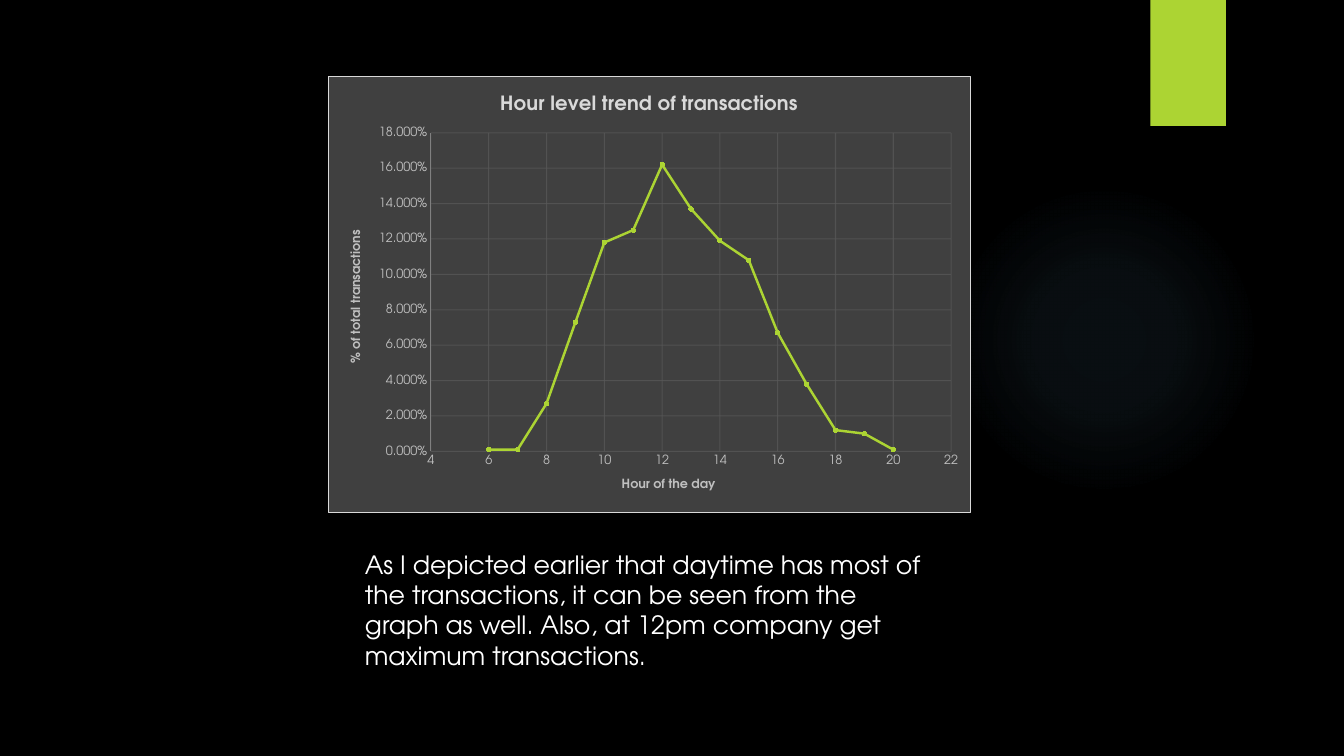
from pptx import Presentation, util as u
from pptx.chart.data import XyChartData
from pptx.dml.color import RGBColor
from pptx.enum import chart as ch, shapes
from pptx.oxml import parse_xml
from pptx.oxml.ns import nsdecls, qn

FONT = "TeX Gyre Adventor"
COLORS = {
    "black": "000000", "white": "FFFFFF", "lime": "ACD433", "pale_lime": "CDE585",
    "glow": "7AC4F0", "panel": "404040", "border": "D9D9D9",
    "label": "BFBFBF", "axis": "808080", "grid": "595959",
}
RGB = {name: RGBColor.from_string(value) for name, value in COLORS.items()}


def write(tf, text, size, color, bold=False):
    r = tf.paragraphs[0].add_run()
    r.text = text
    r.font.name, r.font.size, r.font.bold = FONT, u.Pt(size), bold
    r.font.color.rgb = RGB[color]


prs = Presentation()
prs.slide_width, prs.slide_height = u.Inches(13.33), u.Inches(7.5)
s = prs.slides.add_slide(prs.slide_layouts[6])
s.background.fill.solid()
s.background.fill.fore_color.rgb = RGB["black"]

# Soft glow, fading outwards
glow = s.shapes.add_shape(shapes.MSO_SHAPE.OVAL, u.Inches(9.41), u.Inches(1.83),
                          u.Inches(3.08), u.Inches(3.08))
glow.shadow.inherit = False
glow.line.fill.background()
stops = "".join(
    f'<a:gs pos="{pos}000"><a:srgbClr val="{COLORS["glow"]}"><a:alpha val="{alpha}000"/></a:srgbClr></a:gs>'
    for pos, alpha in ((0, 7), (36, 6), (69, 0)))
glow._element.spPr.find(qn("a:prstGeom")).addnext(parse_xml(
    f'<a:gradFill {nsdecls("a")} rotWithShape="1"><a:gsLst>{stops}</a:gsLst><a:path path="circle">'
    '<a:fillToRect l="50000" t="50000" r="50000" b="50000"/></a:path></a:gradFill>'))

# Lime tab with a drop shadow
tab = s.shapes.add_shape(shapes.MSO_SHAPE.RECTANGLE, u.Inches(11.41), 0,
                         u.Inches(0.75), u.Inches(1.25))
tab.shadow.inherit = False
tab.fill.solid()
tab.fill.fore_color.rgb = RGB["lime"]
tab.line.fill.background()
tab._element.spPr.find(qn("a:effectLst")).append(parse_xml(
    f'<a:outerShdw {nsdecls("a")} blurRad="{u.Pt(3)}" dist="{u.Pt(2)}" dir="5400000" rotWithShape="0">'
    f'<a:srgbClr val="{COLORS["black"]}"><a:alpha val="45000"/></a:srgbClr></a:outerShdw>'))

# Hourly chart
shares = [0.001, 0.001, 0.027, 0.073, 0.118, 0.125, 0.162, 0.137,
          0.119, 0.108, 0.067, 0.038, 0.012, 0.01, 0.001]
data = XyChartData()
hourly = data.add_series("Series 1")
for hour, share in enumerate(shares, start=6):
    hourly.add_data_point(hour, share)
chart = s.shapes.add_chart(ch.XL_CHART_TYPE.XY_SCATTER_LINES, u.Inches(3.25), u.Inches(0.75),
                           u.Inches(6.38), u.Inches(4.34), data).chart
chart.font.name, chart.font.size = FONT, u.Pt(10)
chart.font.color.rgb = RGB["white"]
chart.has_legend = False
chart.has_title = True
write(chart.chart_title.text_frame, "Hour level trend of transactions", 14, "border", bold=True)
chart.chart_title.include_in_layout = False

# Series
plot = chart.plots[0]
plot.vary_by_categories = False
series = plot.series[0]
series.smooth = False
series.format.line.width = u.Pt(1.75)
series.format.line.color.rgb = RGB["lime"]
series.marker.style, series.marker.size = ch.XL_MARKER_STYLE.CIRCLE, 3
series.marker.format.fill.solid()
series.marker.format.fill.fore_color.rgb = RGB["pale_lime"]
series.marker.format.line.fill.background()

# Axes
for axis, title, low, high, step, number_format in (
        (chart.category_axis, "Hour of the day", 4, 22, 2, "General"),
        (chart.value_axis, "% of total transactions", 0, 0.18, 0.02, "0.000%")):
    axis.minimum_scale, axis.maximum_scale, axis.major_unit = low, high, step
    axis.major_tick_mark = axis.minor_tick_mark = ch.XL_TICK_MARK.NONE
    labels = axis.tick_labels
    labels.number_format, labels.number_format_is_linked = number_format, False
    labels.font.name, labels.font.size = FONT, u.Pt(9)
    labels.font.color.rgb = RGB["label"]
    axis.has_title = True
    write(axis.axis_title.text_frame, title, 9, "label", bold=True)
    axis.has_major_gridlines = True
    grid = axis.major_gridlines.format.line
    grid.width = u.Pt(0.75)
    grid.color.rgb = RGB["grid"]
    for color in axis._element.find(qn("c:majorGridlines")).iter(qn("a:srgbClr")):
        color.append(parse_xml(f'<a:alpha {nsdecls("a")} val="75000"/>'))
chart.category_axis.format.line.fill.background()
chart.value_axis.format.line.width = u.Pt(0.75)
chart.value_axis.format.line.color.rgb = RGB["axis"]

# Plot position and chart panel
area = chart._chartSpace.chart.plotArea
for layout in area.findall(qn("c:layout")):
    area.remove(layout)
area.insert(0, parse_xml(
    f'<c:layout {nsdecls("c")}><c:manualLayout><c:layoutTarget val="inner"/>'
    '<c:xMode val="edge"/><c:yMode val="edge"/><c:x val="0.16"/><c:y val="0.13"/>'
    '<c:w val="0.81"/><c:h val="0.73"/></c:manualLayout></c:layout>'))
chart._chartSpace.chart.addnext(parse_xml(
    f'<c:spPr {nsdecls("c", "a")}><a:solidFill><a:srgbClr val="{COLORS["panel"]}"/></a:solidFill>'
    f'<a:ln w="{u.Pt(0.75)}"><a:solidFill><a:srgbClr val="{COLORS["border"]}"/></a:solidFill></a:ln></c:spPr>'))

# Commentary
tf = s.shapes.add_textbox(u.Inches(3.52), u.Inches(5.4), u.Inches(5.74), u.Inches(1.31)).text_frame
tf.word_wrap = True
write(tf, "As I depicted earlier that daytime has most of the transactions, it can be seen from the "
          "graph as well. Also, at 12pm company get maximum transactions.", 18, "white")

prs.save("out.pptx")
